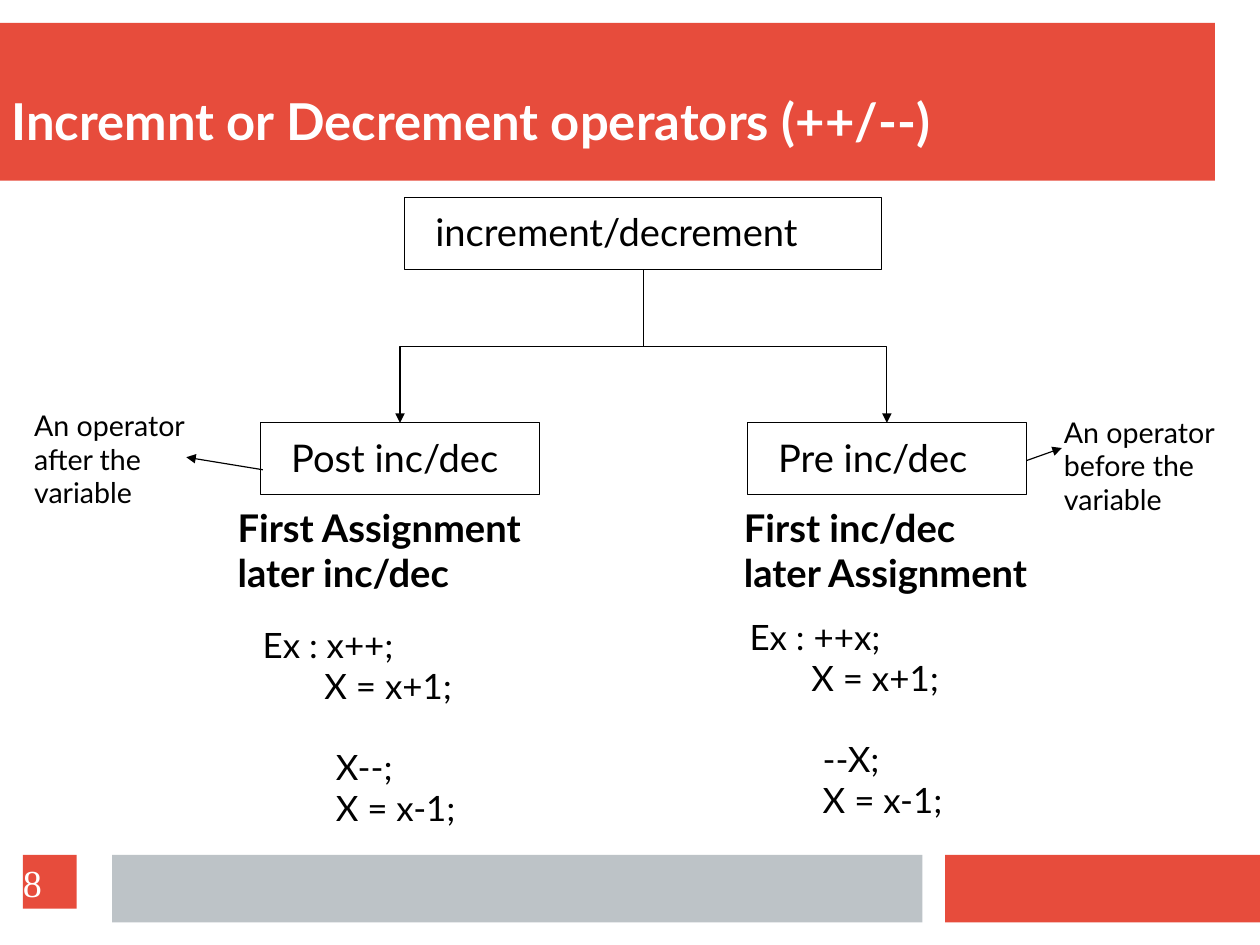
from pptx import Presentation
from pptx.dml.color import RGBColor
from pptx.enum.shapes import MSO_CONNECTOR, MSO_SHAPE
from pptx.enum.text import MSO_ANCHOR, MSO_AUTO_SIZE, PP_ALIGN
from pptx.oxml.ns import qn
from pptx.util import Inches, Pt
from lxml import etree

RED, GREY, BLACK, WHITE = "E74C3C", "BDC3C7", "000000", "FFFFFF"
MARGINS = (0.1, 0.05, 0.1, 0.05)


def color(hex_string):
    return RGBColor.from_string(hex_string)


def set_text(shape, lines, size, hex_color=BLACK, bold=False, name="Lato",
             anchor=MSO_ANCHOR.TOP, margins=MARGINS, spacing=0.97):
    """Each line is (text, left indent in inches, space before in points)."""
    tf = shape.text_frame
    left, top, right, bottom = (Inches(m) for m in margins)
    frame = {"word_wrap": True, "auto_size": MSO_AUTO_SIZE.NONE,
             "vertical_anchor": anchor, "margin_left": left,
             "margin_top": top, "margin_right": right,
             "margin_bottom": bottom}
    for key, value in frame.items():
        setattr(tf, key, value)
    for i, (text, indent, before) in enumerate(lines):
        p = tf.paragraphs[0] if i == 0 else tf.add_paragraph()
        p.alignment = PP_ALIGN.LEFT
        p.line_spacing = spacing
        if before:
            p.space_before = Pt(before)
        if indent:
            p._p.get_or_add_pPr().set("marL", str(Inches(indent)))
        r = p.add_run()
        r.text = text
        for key, value in {"name": name, "size": Pt(size), "bold": bold}.items():
            setattr(r.font, key, value)
        r.font.color.rgb = color(hex_color)


def add_rect(s, box, fill, line=None):
    shape = s.shapes.add_shape(MSO_SHAPE.RECTANGLE, *map(Inches, box))
    shape.shadow.inherit = False
    shape.fill.solid()
    shape.fill.fore_color.rgb = color(fill)
    if line:
        shape.line.color.rgb = color(line)
        shape.line.width = Pt(0.75)
    else:
        shape.line.fill.background()
    return shape


def add_node(s, box, text):
    shape = add_rect(s, box, WHITE, BLACK)
    set_text(shape, [(text, 0.17, 0)], 24, anchor=MSO_ANCHOR.MIDDLE)


def add_label(s, box, lines, size, bold=False):
    shape = s.shapes.add_textbox(*map(Inches, box))
    set_text(shape, lines, size, bold=bold)


def add_arrow(s, start, end, kind=MSO_CONNECTOR.STRAIGHT):
    c = s.shapes.add_connector(kind, *map(Inches, (*start, *end)))
    c.line.color.rgb = color(BLACK)
    c.line.width = Pt(0.75)
    etree.SubElement(c.line._get_or_add_ln(), qn("a:tailEnd"), type="triangle")
    etree.SubElement(c._element.spPr, qn("a:effectLst"))
    return c


def add_branch(s, start, end):
    """Elbow arrow that leaves downwards: a sideways elbow, turned a quarter."""
    (x1, y1), (x2, y2) = start, end
    mid_x, mid_y = (x1 + x2) / 2, (y1 + y2) / 2
    half_w, half_h = (y2 - y1) / 2, abs(x2 - x1) / 2
    side, angle = (1, 90) if x2 < x1 else (-1, 270)
    c = add_arrow(s, (mid_x - side * half_w, mid_y - half_h),
                  (mid_x + side * half_w, mid_y + half_h), MSO_CONNECTOR.ELBOW)
    c._element.spPr.find(qn("a:xfrm")).set("rot", str(angle * 60000))


def plain(*texts):
    return [(text, 0, 0) for text in texts]


def code_example(first, second):
    return [(f"Ex : {first}", 0, 0), ("X = x+1;", 0.54, 0),
            (second, 0.64, 25.6), ("X = x-1;", 0.64, 0)]


def main():
    prs = Presentation()
    # 28 by 21 centimetres
    prs.slide_width, prs.slide_height = Inches(28 / 2.54), Inches(21 / 2.54)
    s = prs.slides.add_slide(prs.slide_layouts[5])

    # Header and footer bars
    add_rect(s, (0, 0.2, 10.63, 1.38), RED)
    add_rect(s, (8.27, 7.48, 2.76, 0.59), RED)
    add_rect(s, (0.98, 7.48, 7.09, 0.59), GREY)

    # Title, in front of the header bar
    title = s.shapes.title
    title.left, title.top, title.width, title.height = map(
        Inches, (0, 0.39, 10.59, 0.94))
    set_text(title, plain("Incremnt or Decrement operators (++/--)"), 32,
             WHITE, True, anchor=MSO_ANCHOR.BOTTOM, margins=(0.1, 0, 0, 0))
    s.shapes._spTree.append(title._element)

    # Tree of operators
    add_node(s, (3.54, 1.73, 4.17, 0.63), "increment/decrement")
    for left, text in ((2.28, "Post inc/dec"), (6.54, "Pre inc/dec")):
        add_node(s, (left, 3.7, 2.44, 0.63), text)
        add_branch(s, (5.63, 2.36), (left + 1.22, 3.7))

    # Order of evaluation
    add_label(s, (1.98, 4.39, 2.98, 0.89),
              plain("First Assignment", "later inc/dec"), 24, True)
    add_label(s, (6.41, 4.39, 2.88, 0.89),
              plain("First inc/dec", "later Assignment"), 24, True)

    # Code examples
    add_label(s, (2.2, 5.43, 2.26, 1.89), code_example("x++;", "X--;"), 22)
    add_label(s, (6.46, 5.36, 2.26, 1.89), code_example("++x;", "--X;"), 22)

    # Side notes with arrows
    for left, top, place in ((0.2, 3.54, "after"), (9.21, 3.6, "before")):
        add_label(s, (left, top, 1.68, 0.97),
                  plain("An operator", f"{place} the", "variable"), 18)
    add_arrow(s, (2.3, 4.11), (1.63, 4))
    add_arrow(s, (8.98, 4.03), (9.29, 3.92))

    # Slide number
    number = add_rect(s, (0.2, 7.48, 0.47, 0.47), RED)
    set_text(number, plain("8"), 24, WHITE, name="Times New Roman",
             anchor=MSO_ANCHOR.MIDDLE, margins=(0, 0, 0, 0), spacing=1.0)

    prs.save("out.pptx")


if __name__ == "__main__":
    main()
